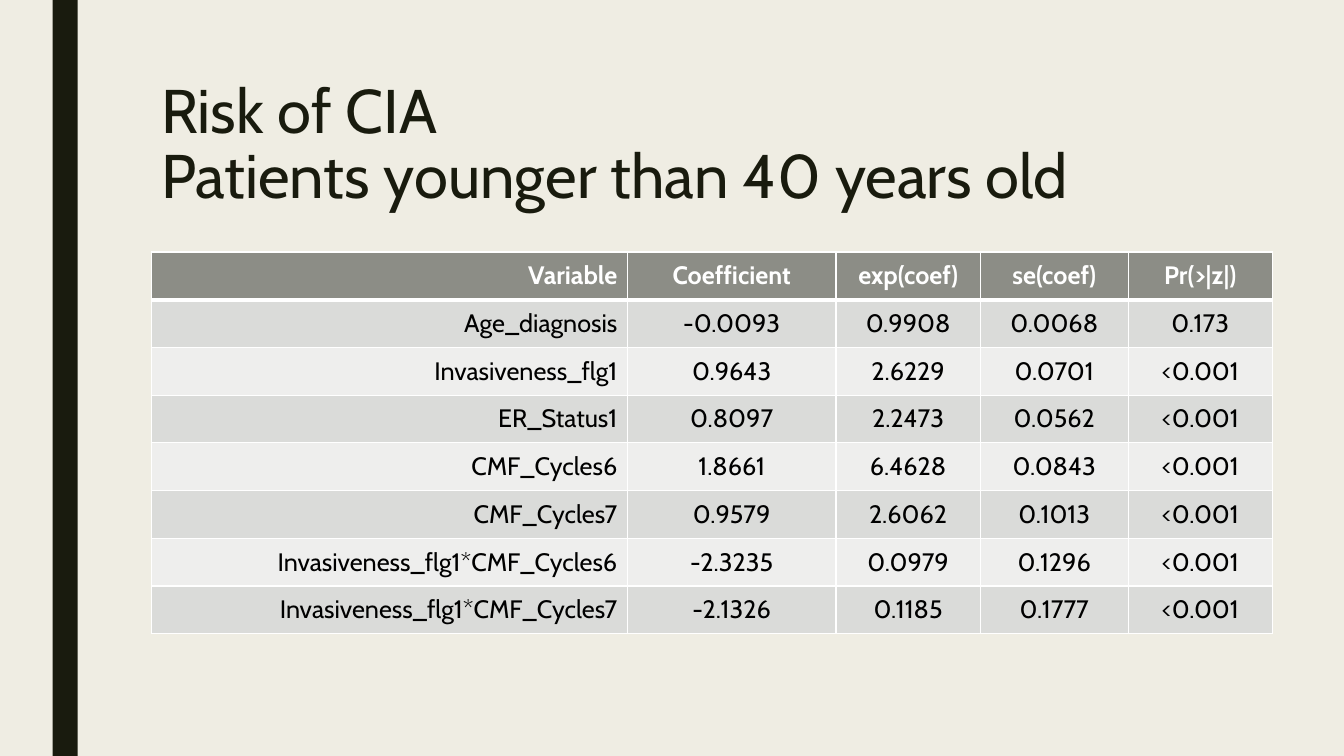
from dataclasses import dataclass

import lxml.etree
import pptx
import pptx.dml.color
import pptx.enum.shapes
import pptx.enum.text
import pptx.oxml.ns
import pptx.slide
import pptx.table
import pptx.text.text
import pptx.util

Pt = pptx.util.Pt
RGBColor = pptx.dml.color.RGBColor
Align = pptx.enum.text.PP_ALIGN
Anchor = pptx.enum.text.MSO_ANCHOR

FONT = "Cabin"
CREAM = RGBColor(0xEF, 0xED, 0xE3)
INK = RGBColor(0x19, 0x1B, 0x0E)
WHITE = RGBColor(0xFF, 0xFF, 0xFF)
BLACK = RGBColor(0x00, 0x00, 0x00)
HEADER_GRAY = RGBColor(0x8C, 0x8D, 0x86)
BAND_DARK = RGBColor(0xDA, 0xDB, 0xD9)
BAND_LIGHT = RGBColor(0xEE, 0xEE, 0xED)

ROW_HEIGHT = 34.1
THIN, THICK = 1, 3


@dataclass(frozen=True)
class Column:
    title: str
    width: float
    align: Align = Align.CENTER


@dataclass(frozen=True)
class RowStyle:
    fill: RGBColor
    ink: RGBColor
    bold: bool
    top: float
    bottom: float


COLUMNS = [
    Column("Variable", 340.2, Align.RIGHT),
    Column("Coefficient", 149),
    Column("exp(coef)", 103),
    Column("se(coef)", 105.8),
    Column("Pr(>|z|)", 102.8),
]

ESTIMATES = [
    ("Age_diagnosis", "-0.0093", "0.9908", "0.0068", "0.173"),
    ("Invasiveness_flg1", "0.9643", "2.6229", "0.0701", "<0.001"),
    ("ER_Status1", "0.8097", "2.2473", "0.0562", "<0.001"),
    ("CMF_Cycles6", "1.8661", "6.4628", "0.0843", "<0.001"),
    ("CMF_Cycles7", "0.9579", "2.6062", "0.1013", "<0.001"),
    ("Invasiveness_flg1*CMF_Cycles6", "-2.3235", "0.0979", "0.1296", "<0.001"),
    ("Invasiveness_flg1*CMF_Cycles7", "-2.1326", "0.1185", "0.1777", "<0.001"),
]


def format_runs(para: pptx.text.text._Paragraph, size: float, color: RGBColor, bold: bool = False) -> None:
    for span in para.runs:
        span.font.name = FONT
        span.font.size = Pt(size)
        span.font.bold = bold
        span.font.color.rgb = color


def add_side_bar(page: pptx.slide.Slide) -> None:
    bar = page.shapes.add_shape(
        pptx.enum.shapes.MSO_SHAPE.RECTANGLE, Pt(37.5), Pt(0), Pt(18), Pt(540)
    )
    bar.shadow.inherit = False
    bar.fill.solid()
    bar.fill.fore_color.rgb = INK
    bar.line.fill.background()


def add_title(page: pptx.slide.Slide) -> None:
    box = page.shapes.add_textbox(Pt(108), Pt(54), Pt(756), Pt(117))
    frame = box.text_frame
    frame.word_wrap = True
    frame.vertical_anchor = Anchor.TOP
    para = frame.paragraphs[0]
    para.text = "Risk of CIA\nPatients younger than 40 years old"
    para.line_spacing = 0.89
    format_runs(para, 44, INK)


def add_border(cell: pptx.table._Cell, side: str, width: float) -> None:
    qn = pptx.oxml.ns.qn
    properties = cell._tc.get_or_add_tcPr()
    line = lxml.etree.SubElement(properties, qn(f"a:ln{side}"), w=str(Pt(width)))
    fill = lxml.etree.SubElement(line, qn("a:solidFill"))
    lxml.etree.SubElement(fill, qn("a:srgbClr"), val=str(WHITE))


def fill_cell(cell: pptx.table._Cell, text: str, align: Align, style: RowStyle) -> None:
    for side, width in zip("LRTB", (THIN, THIN, style.top, style.bottom)):
        add_border(cell, side, width)
    cell.fill.solid()
    cell.fill.fore_color.rgb = style.fill
    cell.vertical_anchor = Anchor.MIDDLE
    para = cell.text_frame.paragraphs[0]
    para.text = text
    para.alignment = align
    format_runs(para, 18, style.ink, style.bold)


def row_style(index: int) -> RowStyle:
    if index == 0:
        return RowStyle(HEADER_GRAY, WHITE, True, THIN, THICK)
    fill = BAND_DARK if index % 2 else BAND_LIGHT
    return RowStyle(fill, BLACK, False, THICK if index == 1 else THIN, THIN)


def add_estimates_table(page: pptx.slide.Slide) -> None:
    rows = [tuple(column.title for column in COLUMNS), *ESTIMATES]
    width = sum(column.width for column in COLUMNS)
    table = page.shapes.add_table(
        len(rows), len(COLUMNS), Pt(108), Pt(180), Pt(width), Pt(ROW_HEIGHT * len(rows))
    ).table
    for index, column in enumerate(COLUMNS):
        table.columns[index].width = Pt(column.width)
    for row_index, values in enumerate(rows):
        table.rows[row_index].height = Pt(ROW_HEIGHT)
        style = row_style(row_index)
        for column_index, (column, text) in enumerate(zip(COLUMNS, values)):
            fill_cell(table.cell(row_index, column_index), text, column.align, style)


def main() -> None:
    deck = pptx.Presentation()
    deck.slide_width = Pt(960)
    deck.slide_height = Pt(540)
    page = deck.slides.add_slide(deck.slide_layouts[6])
    page.background.fill.solid()
    page.background.fill.fore_color.rgb = CREAM
    add_side_bar(page)
    add_title(page)
    add_estimates_table(page)
    deck.save("out.pptx")


if __name__ == "__main__":
    main()
